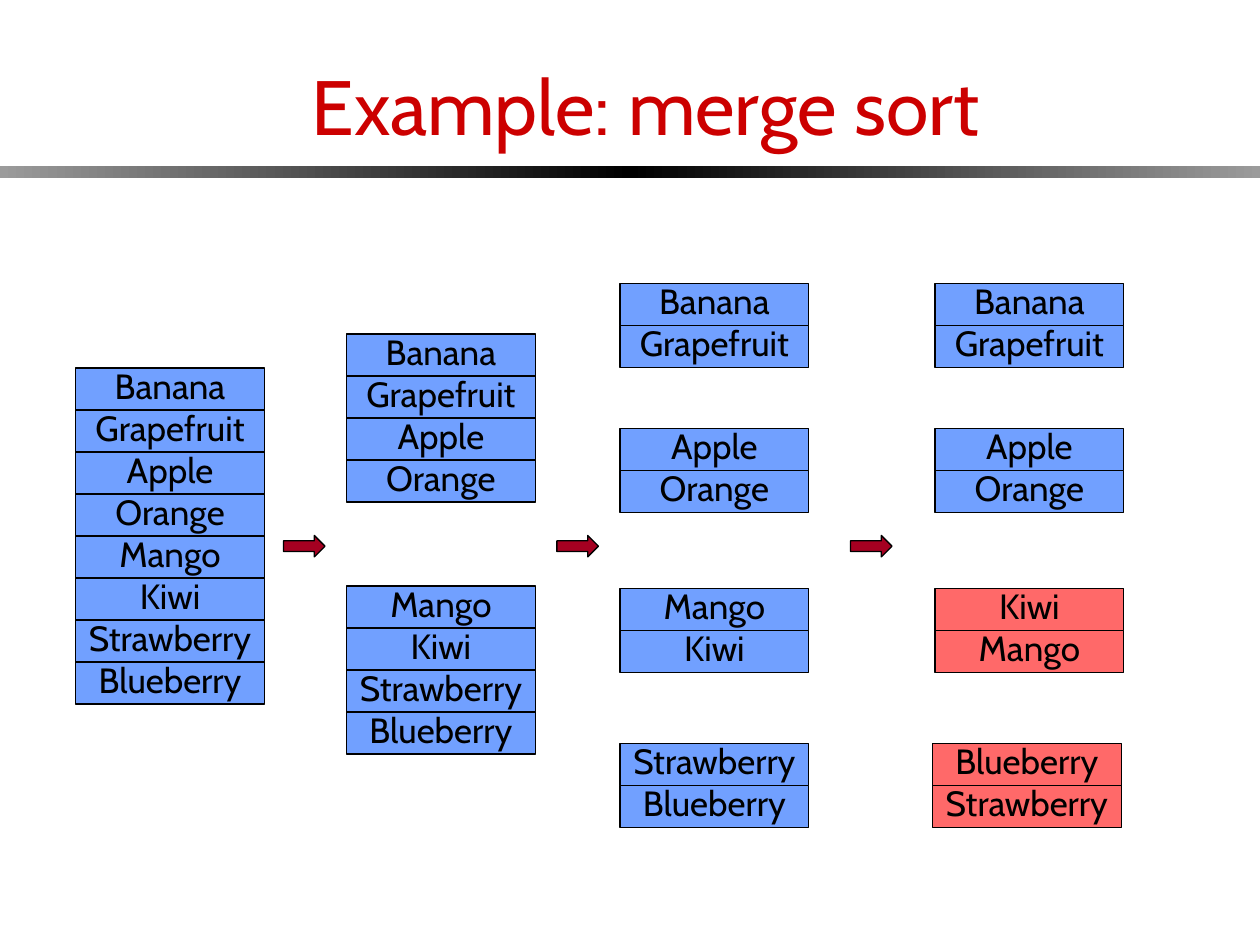
from pptx import Presentation
from pptx.dml.color import RGBColor
from pptx.enum.shapes import MSO_SHAPE as SHAPE
from pptx.enum.text import MSO_ANCHOR as ANCHOR, MSO_AUTO_SIZE as AUTO, PP_ALIGN as ALIGN
from pptx.util import Inches, Pt

FONT = "Cabin"
BLUE, RED = "71A0FF", "FF6969"
ROW_H = 1 / 3


def rgb(value):
    return RGBColor.from_string(value)


def add_box(kind, x, y, w, h, fill):
    sp = s.shapes.add_shape(kind, Inches(x), Inches(y), Inches(w), Inches(h))
    sp.shadow.inherit = False
    sp.fill.solid()
    sp.fill.fore_color.rgb = rgb(fill)
    sp.line.color.rgb = rgb("000000")
    sp.line.width = Pt(0.75)
    return sp


prs = Presentation()
prs.slide_width, prs.slide_height = Inches(10), Inches(7.5)
s = prs.slides.add_slide(prs.slide_layouts[5])

# Title
title = s.shapes.title
title.left, title.top = Inches(0.55), Inches(0)
title.width, title.height = Inches(9.15), Inches(1.25)
tf = title.text_frame
tf.text = "Example: merge sort"
tf.auto_size = AUTO.NONE
tf.vertical_anchor = ANCHOR.BOTTOM
p = tf.paragraphs[0]
p.alignment = ALIGN.CENTER
p.font.name, p.font.size = FONT, Pt(44)
p.font.color.rgb = rgb("CC0000")

# Rule under the title, darkest in the middle
for x, colors in ((0, ("9B9B9B", "000000")), (5, ("000000", "9B9B9B"))):
    sp = s.shapes.add_shape(SHAPE.RECTANGLE, Inches(x), Inches(1.32), Inches(5), Inches(0.09))
    sp.shadow.inherit = False
    sp.line.fill.background()
    sp.fill.gradient()
    sp.fill.gradient_angle = 0
    for stop, color in zip(sp.fill.gradient_stops, colors):
        stop.color.rgb = rgb(color)

# Lists at each step: left, top, fill, items
fruits = ["Banana", "Grapefruit", "Apple", "Orange",
          "Mango", "Kiwi", "Strawberry", "Blueberry"]
lists = [
    (0.6, 2.92, BLUE, fruits),
    (2.75, 2.65, BLUE, fruits[:4]),
    (2.75, 4.65, BLUE, fruits[4:]),
    (4.92, 2.25, BLUE, fruits[:2]),
    (4.92, 3.4, BLUE, fruits[2:4]),
    (4.92, 4.67, BLUE, fruits[4:6]),
    (4.92, 5.9, BLUE, fruits[6:]),
    (7.42, 2.25, BLUE, fruits[:2]),
    (7.42, 3.4, BLUE, fruits[2:4]),
    (7.42, 4.67, RED, sorted(fruits[4:6])),
    (7.4, 5.9, RED, sorted(fruits[6:])),
]
for x, top, fill, items in lists:
    for i, item in enumerate(items):
        sp = add_box(SHAPE.RECTANGLE, x, top + i * ROW_H, 1.5, ROW_H, fill)
        tf = sp.text_frame
        tf.text = item
        tf.word_wrap = False
        tf.vertical_anchor = ANCHOR.BOTTOM
        tf.margin_left = tf.margin_right = tf.margin_top = 0
        tf.margin_bottom = Inches(0.03)
        p = tf.paragraphs[0]
        p.alignment = ALIGN.CENTER
        p.font.name, p.font.size = FONT, Pt(20)
        p.font.color.rgb = rgb("000000")

# Arrows between steps
for x in (2.25, 4.42, 6.75):
    add_box(SHAPE.RIGHT_ARROW, x, 4.25, 0.33, 0.17, "A50021")

prs.save("out.pptx")
